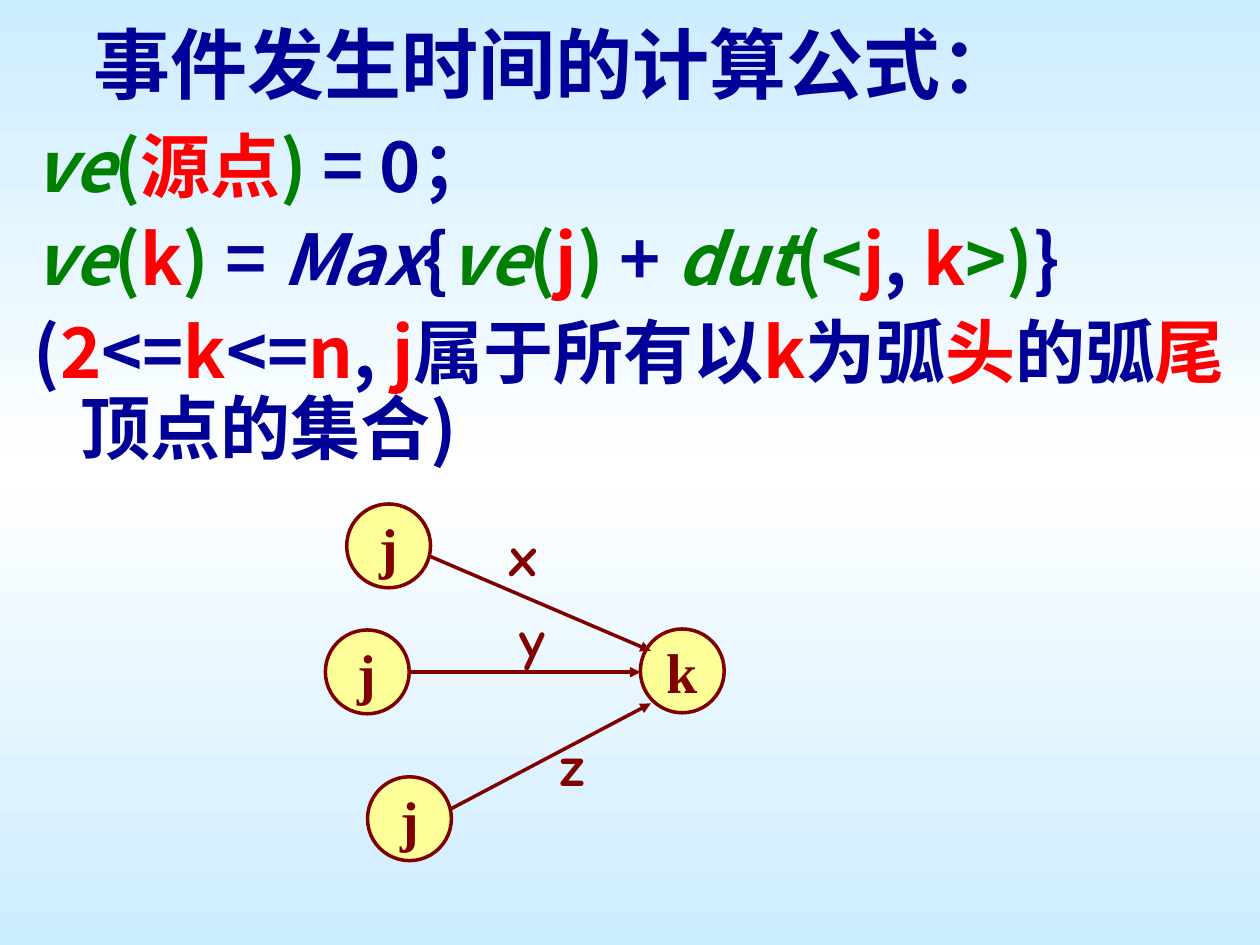
from copy import deepcopy
from dataclasses import dataclass

from lxml.etree import SubElement
from pptx import Presentation
from pptx.dml.color import RGBColor
from pptx.enum.shapes import MSO_CONNECTOR, MSO_SHAPE
from pptx.enum.text import MSO_ANCHOR, MSO_AUTO_SIZE, PP_ALIGN
from pptx.oxml.ns import qn
from pptx.util import Cm, Pt


@dataclass(frozen=True)
class Theme:
    """Colours, fonts and type sizes of the slide."""
    sky: str = "CCECFF"
    white: str = "FFFFFF"
    navy: str = "000099"
    green: str = "008000"
    red: str = "FF0000"
    maroon: str = "800000"
    yellow: str = "FFFF99"
    sans: str = "Noto Sans CJK SC"
    serif: str = "Times New Roman"
    comic: str = "Comic Neue"
    title_size: int = 44
    body_size: int = 40
    graph_size: int = 32
    line_width: int = 2


THEME = Theme()
NODE_SIZE = 1.69

FORMULAS = [
    [("ve", THEME.green, True), ("(", THEME.green), ("源点", THEME.red),
     (")", THEME.green), (" = 0；", THEME.navy)],
    [("ve", THEME.green, True), ("(", THEME.green), ("k", THEME.red),
     (")", THEME.green), (" = ", THEME.navy), ("Max", THEME.navy, True),
     ("{", THEME.navy), ("ve", THEME.green, True), ("(", THEME.green),
     ("j", THEME.red), (")", THEME.green), (" + ", THEME.navy),
     ("dut", THEME.green, True), ("(<", THEME.green), ("j", THEME.red),
     (", ", THEME.navy), ("k", THEME.red), (">)", THEME.green), ("}", THEME.navy)],
    [("(", THEME.navy), ("2", THEME.red), ("<=", THEME.navy), ("k", THEME.red),
     ("<=", THEME.navy), ("n", THEME.red), (", ", THEME.navy), ("j", THEME.red),
     ("属于所有以", THEME.navy), ("k", THEME.red), ("为弧", THEME.navy),
     ("头", THEME.red), ("的弧", THEME.navy), ("尾", THEME.red),
     ("顶点的集合)", THEME.navy)],
]
NODES = [("j", 6.99, 10.16), ("j", 6.56, 12.7), ("j", 7.41, 15.66), ("k", 12.91, 12.68)]
ARCS = [
    (8.68, 11.22, 13.12, 13.12),
    (8.26, 13.55, 12.91, 13.55),
    (9.1, 16.3, 13.12, 14.18),
]
WEIGHTS = [("x", 10.02, 10.37, 1.07), ("y", 10.22, 12.07, 1.02), ("z", 11.06, 14.61, 1)]


def paint_background(page):
    """Fill the page with a vertical sky-white-sky gradient."""
    fill = page.background.fill
    fill.gradient()
    fill.gradient_angle = 270
    first = next(page.background._cSld.iter(qn("a:gs")))
    first.addnext(deepcopy(first))
    stops = zip(fill.gradient_stops, (THEME.sky, THEME.white, THEME.sky), (0, 0.5, 1))
    for stop, color, position in stops:
        stop.color.rgb = RGBColor.from_string(color)
        stop.position = position


def add_span(para, text, *, color, size, font, italic=False):
    """Append one bold formatted run to a paragraph."""
    span = para.add_run()
    span.text = text
    span.font.name = font
    span.font.size = Pt(size)
    span.font.bold = True
    span.font.italic = italic
    span.font.color.rgb = RGBColor.from_string(color)
    SubElement(span.font._element, qn("a:ea"), typeface=THEME.sans)


def add_label(page, text, left, top, width, height, **text_format):
    """Add a one-line text box that does not wrap."""
    box = page.shapes.add_textbox(Cm(left), Cm(top), Cm(width), Cm(height))
    box.text_frame.word_wrap = False
    box.text_frame.auto_size = MSO_AUTO_SIZE.SHAPE_TO_FIT_TEXT
    add_span(box.text_frame.paragraphs[0], text, **text_format)


def add_formulas(page):
    """Add the formula paragraphs with a hanging indent."""
    box = page.shapes.add_textbox(Cm(0.43), Cm(2.54), Cm(24.77), Cm(7.62))
    frame = box.text_frame
    frame.word_wrap = True
    for index, spans in enumerate(FORMULAS):
        para = frame.add_paragraph() if index else frame.paragraphs[0]
        para.line_spacing = 0.9
        if index:
            para.space_before = Pt(10)
        properties = para._p.get_or_add_pPr()
        properties.set("marL", str(Cm(0.95)))
        properties.set("indent", str(-Cm(0.95)))
        for text, color, *italic in spans:
            add_span(para, text, color=color, size=THEME.body_size,
                     font=THEME.sans, italic=bool(italic))


def add_node(page, name, left, top):
    """Add a round graph node with its name."""
    node = page.shapes.add_shape(
        MSO_SHAPE.OVAL, Cm(left), Cm(top), Cm(NODE_SIZE), Cm(NODE_SIZE))
    node.shadow.inherit = False
    node.fill.solid()
    node.fill.fore_color.rgb = RGBColor.from_string(THEME.yellow)
    node.line.color.rgb = RGBColor.from_string(THEME.maroon)
    node.line.width = Pt(THEME.line_width)
    frame = node.text_frame
    frame.word_wrap = False
    frame.vertical_anchor = MSO_ANCHOR.MIDDLE
    para = frame.paragraphs[0]
    para.alignment = PP_ALIGN.CENTER
    add_span(para, name, color=THEME.maroon, size=THEME.graph_size, font=THEME.serif)


def add_arc(page, *ends):
    """Add an arrow from the first point to the second."""
    arc = page.shapes.add_connector(MSO_CONNECTOR.STRAIGHT, *map(Cm, ends))
    arc.line.color.rgb = RGBColor.from_string(THEME.maroon)
    arc.line.width = Pt(THEME.line_width)
    SubElement(arc.line._get_or_add_ln(), qn("a:tailEnd"), type="triangle")
    SubElement(arc._element.spPr, qn("a:effectLst"))


def main():
    """Build the slide and save it."""
    deck = Presentation()
    deck.slide_width, deck.slide_height = Cm(25.4), Cm(19.05)
    page = deck.slides.add_slide(deck.slide_layouts[6])
    paint_background(page)
    add_formulas(page)
    add_label(page, "事件发生时间的计算公式：", 1.63, 0.2, 19.15, 2.13,
              color=THEME.navy, size=THEME.title_size, font=THEME.serif)
    for node in NODES:
        add_node(page, *node)
    for arc in ARCS:
        add_arc(page, *arc)
    for name, left, top, width in WEIGHTS:
        add_label(page, name, left, top, width, 1.62,
                  color=THEME.maroon, size=THEME.graph_size, font=THEME.comic)
    deck.save("out.pptx")


if __name__ == "__main__":
    main()
